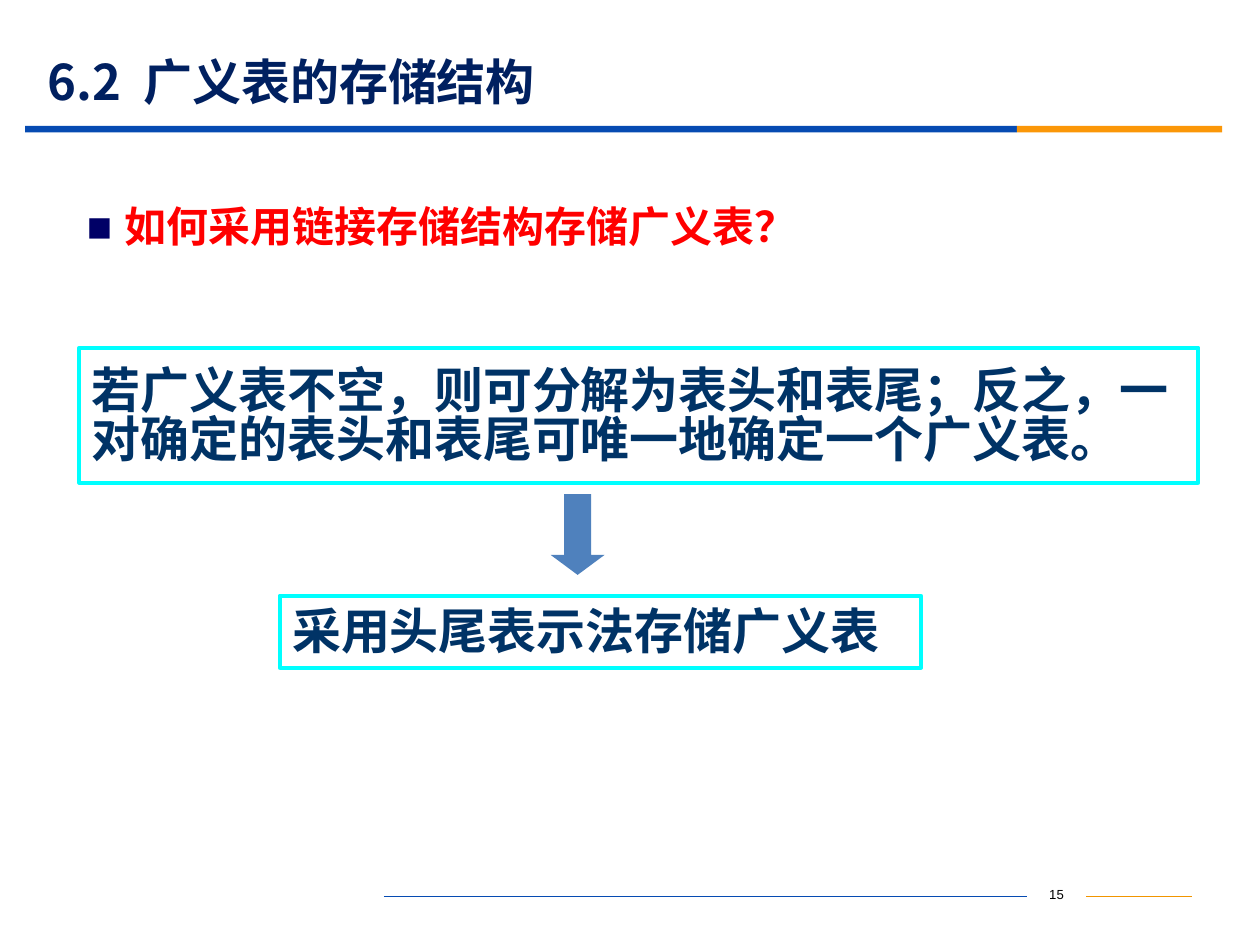
from lxml import etree
from pptx import Presentation
from pptx.dml.color import RGBColor
from pptx.enum.shapes import MSO_CONNECTOR, MSO_SHAPE
from pptx.enum.text import MSO_ANCHOR, PP_ALIGN
from pptx.oxml.ns import qn
from pptx.util import Cm, Pt

RECTANGLE, DOWN_ARROW = MSO_SHAPE.RECTANGLE, MSO_SHAPE.DOWN_ARROW
STRAIGHT = MSO_CONNECTOR.STRAIGHT
TOP, MIDDLE = MSO_ANCHOR.TOP, MSO_ANCHOR.MIDDLE
LEFT, CENTER = PP_ALIGN.LEFT, PP_ALIGN.CENTER

COLORS = {
    "title": "002060", "question": "FF0000", "bullet": "000066",
    "statement": "003366", "frame": "00FFFF", "arrow": "4F81BD",
    "blue": "064BB2", "orange": "FB9708", "footer_orange": "F19500",
    "number": "000000",
}
CJK_FONT, LATIN_FONT = "Noto Sans CJK SC", "Arial"


def color(name):
    """Return the named palette colour."""
    return RGBColor.from_string(COLORS[name])


def apply_format(target, values):
    """Set each attribute of a dict of format values."""
    for name, value in values.items():
        setattr(target, name, value)


class SlideBuilder:
    """Holds the style and the current slide."""

    def __init__(self, slide):
        """Keep the slide to draw on."""
        self.shapes = slide.shapes

    def fill_text(self, shape, text, size, tone, font=CJK_FONT, bold=True,
                  anchor=MIDDLE, align=LEFT, spacing=1.0, **frame_format):
        """Put one styled paragraph in a shape and return it."""
        frame = shape.text_frame
        apply_format(frame, {"word_wrap": True, "vertical_anchor": anchor, **frame_format})
        paragraph = frame.paragraphs[0]
        apply_format(paragraph, {"alignment": align, "line_spacing": spacing})
        run = paragraph.add_run()
        run.text = text
        apply_format(run.font, {"size": Pt(size), "bold": bold, "name": font})
        run.font.color.rgb = color(tone)
        east_asian = etree.SubElement(run._r.get_or_add_rPr(), qn("a:ea"))
        east_asian.set("typeface", font)
        return paragraph

    def text(self, box, text, size, tone, **style):
        """Add a text box."""
        shape = self.shapes.add_textbox(*map(Cm, box))
        return self.fill_text(shape, text, size, tone, **style)

    def bullet(self, box, text, size, tone, **style):
        """Add a text box with a square bullet and hanging indent."""
        paragraph = self.text(box, text, size, tone, **style)
        properties = paragraph._p.get_or_add_pPr()
        properties.set("marL", str(Cm(0.76)))
        properties.set("indent", str(-Cm(0.76)))
        bullet_color = etree.SubElement(properties, qn("a:buClr"))
        etree.SubElement(bullet_color, qn("a:srgbClr")).set("val", COLORS["bullet"])
        etree.SubElement(properties, qn("a:buFont")).set("typeface", LATIN_FONT)
        etree.SubElement(properties, qn("a:buChar")).set("char", "■")

    def solid(self, kind, box, tone):
        """Add a filled shape without an outline."""
        shape = self.shapes.add_shape(kind, *map(Cm, box))
        shape.shadow.inherit = False
        shape.fill.solid()
        shape.fill.fore_color.rgb = color(tone)
        shape.line.fill.background()
        return shape

    def framed(self, box, text):
        """Add an outlined box with a statement."""
        shape = self.shapes.add_shape(RECTANGLE, *map(Cm, box))
        shape.shadow.inherit = False
        shape.fill.background()
        shape.line.color.rgb = color("frame")
        shape.line.width = Pt(2.25)
        self.fill_text(shape, text, 28, "statement", spacing=0.83, margin_top=Cm(0.25))

    def rule(self, start, end, y, tone):
        """Add a thin horizontal line."""
        line = self.shapes.add_connector(STRAIGHT, Cm(start), Cm(y), Cm(end), Cm(y))
        line.line.color.rgb = color(tone)
        line.line.width = Pt(0.75)
        etree.SubElement(line._element.spPr, qn("a:effectLst"))


def main():
    """Build and save the slide."""
    presentation = Presentation()
    apply_format(presentation, {"slide_width": Cm(25.4), "slide_height": Cm(19.05)})
    builder = SlideBuilder(presentation.slides.add_slide(presentation.slide_layouts[6]))

    builder.text((20.7, 17.75, 1.2, 0.64), "15", 7.5, "number",
                 font=LATIN_FONT, bold=False, align=CENTER, anchor=TOP)
    builder.rule(21.9, 24.02, 18.08, "footer_orange")
    builder.rule(7.74, 20.7, 18.08, "blue")

    builder.solid(RECTANGLE, (0.51, 2.54, 19.99, 0.13), "blue")
    builder.solid(RECTANGLE, (20.5, 2.54, 4.14, 0.13), "orange")
    builder.text((0.71, 1.09, 22.86, 1.09), "6.2  广义表的存储结构", 28, "title")

    builder.bullet((1.5, 4.04, 21.59, 2.2), "如何采用链接存储结构存储广义表？",
                   24, "question", anchor=TOP, spacing=0.9)
    builder.framed((1.6, 7.01, 22.56, 2.72),
                   "若广义表不空，则可分解为表头和表尾；反之，一对确定的表头和表尾可唯一地确定一个广义表。")
    arrow = builder.solid(DOWN_ARROW, (11.1, 9.96, 1.09, 1.63), "arrow")
    arrow.adjustments[1] = 0.37
    builder.framed((5.64, 12.01, 12.93, 1.45), "采用头尾表示法存储广义表")
    presentation.save("out.pptx")


main()
